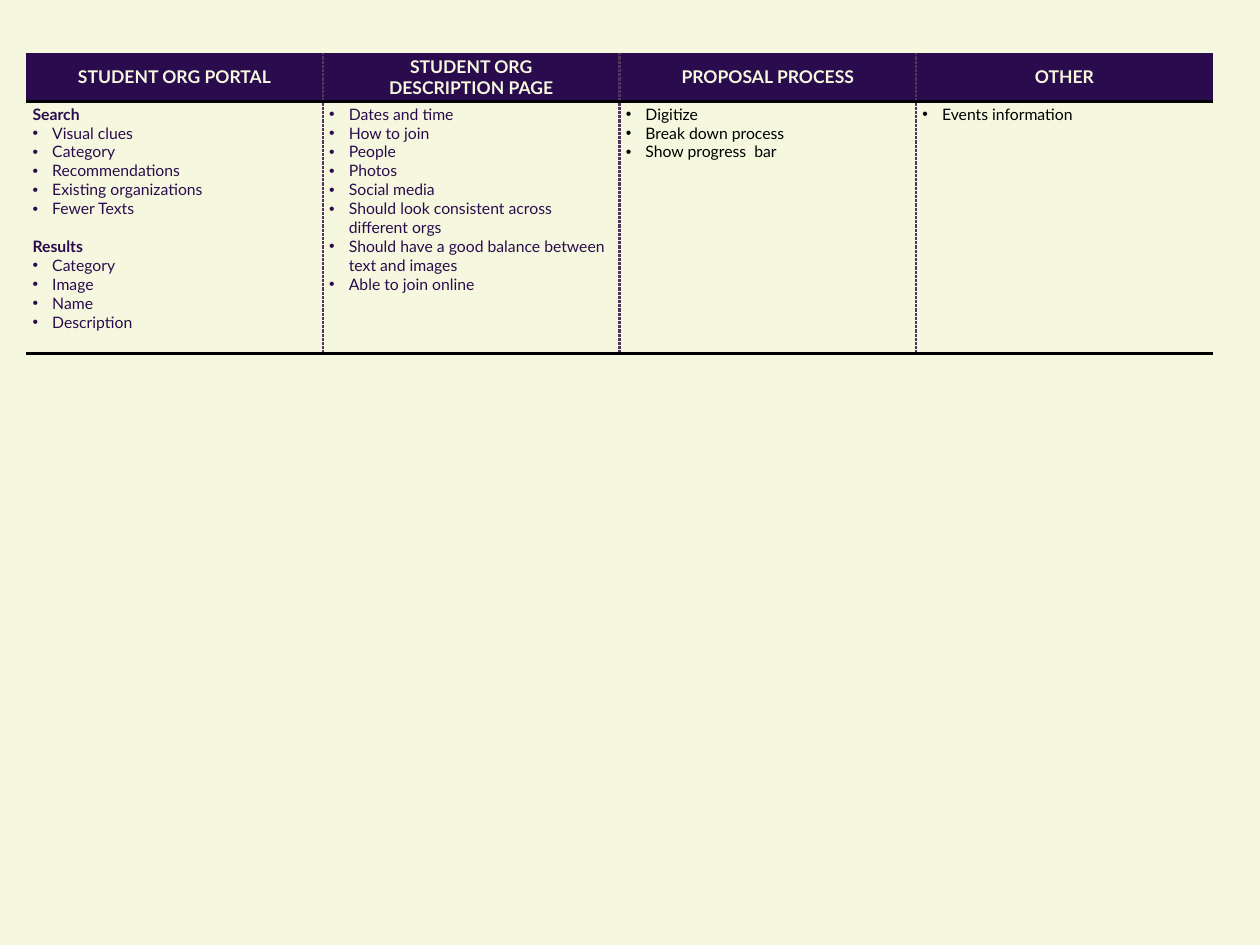
"""Build a slide with a table of student organization site ideas."""
from lxml import etree
from pptx import Presentation
from pptx.dml.color import RGBColor
from pptx.enum.text import MSO_ANCHOR, PP_ALIGN
from pptx.oxml.ns import qn
from pptx.util import Pt

CENTER = PP_ALIGN.CENTER
TOP, MIDDLE = MSO_ANCHOR.TOP, MSO_ANCHOR.MIDDLE
FONT = "Lato"
COLORS = {"cream": "F5F8DE", "plum": "2A0C4E", "mauve": "51355A", "black": "000000"}
COL_WIDTH, HEAD_HEIGHT, BODY_HEIGHT = 339, 55, 288
INDENT = 22.5

TOPICS = [
    (["STUDENT ORG PORTAL"], "plum", [
        ("Search", ["Visual clues", "Category", "Recommendations",
                    "Existing organizations", "Fewer Texts"]),
        ("Results", ["Category", "Image", "Name", "Description"]),
    ]),
    (["STUDENT ORG", "DESCRIPTION PAGE"], "plum", [
        (None, ["Dates and time", "How to join", "People", "Photos", "Social media",
                "Should look consistent across different orgs",
                "Should have a good balance between text and images",
                "Able to join online"]),
    ]),
    (["PROPOSAL PROCESS"], "black", [
        (None, ["Digitize", "Break down process", "Show progress  bar"]),
    ]),
    (["OTHER"], "black", [(None, ["Events information"])]),
]


def rgb(name):
    """Return a named colour."""
    return RGBColor.from_string(COLORS[name])


def add_line(cell, text, size, color, bold=False):
    """Write a line into the cell and return its paragraph."""
    frame = cell.text_frame
    para = frame.paragraphs[0]
    if para.runs:
        para = frame.add_paragraph()
    run = para.add_run()
    run.text = text
    font = run.font
    font.name, font.size, font.bold = FONT, Pt(size), bold
    font.color.rgb = rgb(color)
    return para


def add_bullet(para):
    """Give the paragraph a bullet and a hanging indent."""
    props = para._p.get_or_add_pPr()
    props.set("marL", str(Pt(INDENT)))
    props.set("indent", str(-Pt(INDENT)))
    etree.SubElement(props, qn("a:buFont"), typeface="Arial")
    etree.SubElement(props, qn("a:buChar"), char="•")


def add_edge(cell, side, color=None, dash="solid"):
    """Draw one cell border, or hide it when no colour is given."""
    props = cell._tc.get_or_add_tcPr()
    edge = etree.SubElement(props, qn("a:ln" + side), w=str(Pt(3)))
    if color is None:
        etree.SubElement(edge, qn("a:noFill"))
        return
    fill = etree.SubElement(edge, qn("a:solidFill"))
    etree.SubElement(fill, qn("a:srgbClr"), val=COLORS[color])
    etree.SubElement(edge, qn("a:prstDash"), val=dash)


def add_frame(cell, col, is_head):
    """Draw dotted column rules and solid row rules."""
    for side, outer in (("L", 0), ("R", len(TOPICS) - 1)):
        add_edge(cell, side, None if col == outer else "mauve", "dot")
    add_edge(cell, "T", None if is_head else "black")
    add_edge(cell, "B", "black")


def fill_head(cell, col, lines):
    """Fill a header cell."""
    add_frame(cell, col, True)
    cell.fill.solid()
    cell.fill.fore_color.rgb = rgb("plum")
    cell.vertical_anchor = MIDDLE
    for line in lines:
        add_line(cell, line, 20, "cream", True).alignment = CENTER


def fill_body(cell, col, color, groups):
    """Fill a body cell with groups of bullets."""
    add_frame(cell, col, False)
    cell.fill.background()
    cell.vertical_anchor = TOP
    for index, (title, items) in enumerate(groups):
        if title:
            para = add_line(cell, title, 18, color, True)
            para.space_before = Pt(21.6 if index else 0)
        for item in items:
            add_bullet(add_line(cell, item, 18, color))


def add_grid(slide):
    """Add the table of topics."""
    count = len(TOPICS)
    table = slide.shapes.add_table(2, count, Pt(30), Pt(60.5), Pt(COL_WIDTH * count),
                                   Pt(HEAD_HEIGHT + BODY_HEIGHT)).table
    table.first_row = table.horz_banding = False
    table.rows[0].height, table.rows[1].height = Pt(HEAD_HEIGHT), Pt(BODY_HEIGHT)
    for col, (lines, color, groups) in enumerate(TOPICS):
        table.columns[col].width = Pt(COL_WIDTH)
        fill_head(table.cell(0, col), col, lines)
        fill_body(table.cell(1, col), col, color, groups)


def main():
    """Build and save the slide."""
    deck = Presentation()
    deck.slide_width, deck.slide_height = Pt(1440), Pt(1080)
    slide = deck.slides.add_slide(deck.slide_layouts[6])
    slide.background.fill.solid()
    slide.background.fill.fore_color.rgb = rgb("cream")
    add_grid(slide)
    deck.save("out.pptx")


if __name__ == "__main__":
    main()
